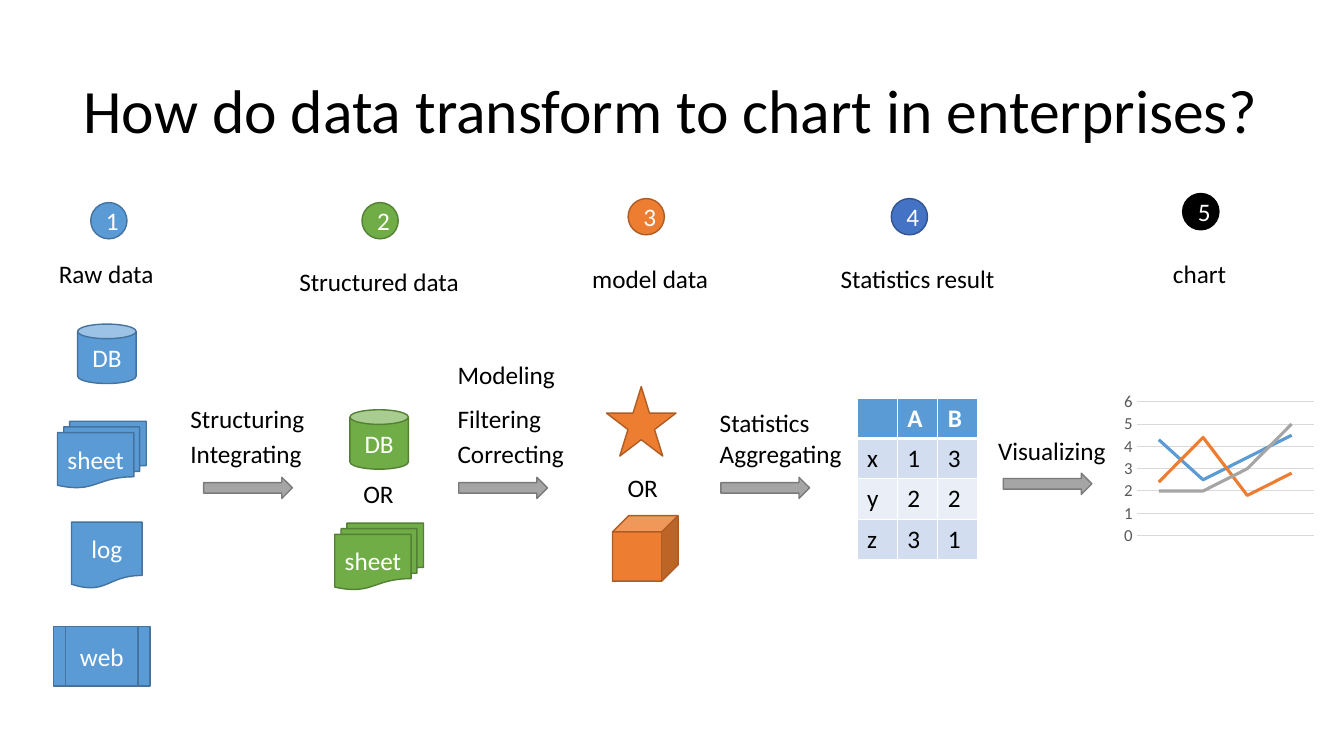
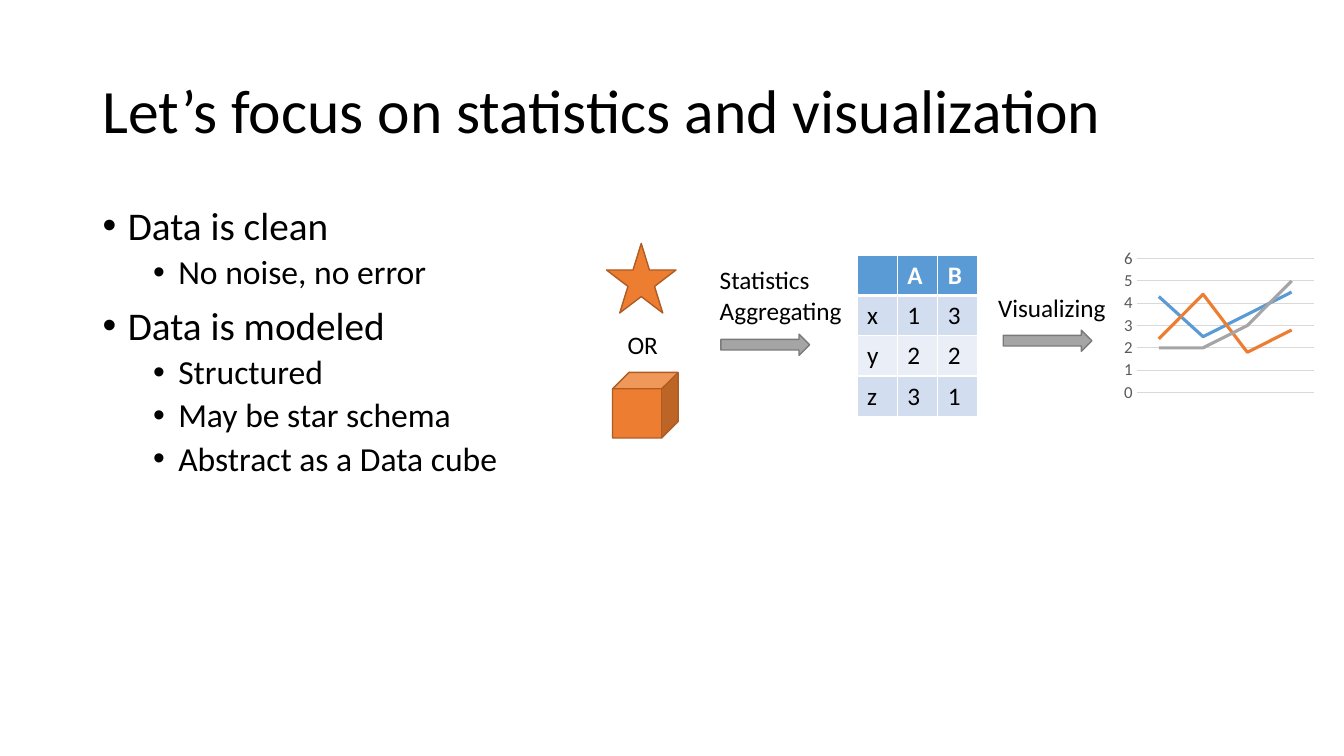
from lxml import etree
from pptx import Presentation
from pptx.chart.data import CategoryChartData
from pptx.dml.color import RGBColor
from pptx.enum import chart as charts, shapes, text
from pptx.oxml import ns
from pptx.util import Inches, Pt

# Content
FONT = "Calibri"
BLACK, WHITE = "000000", "FFFFFF"
PALETTE = {  # name: (fill, outline)
    "blue": ("5B9BD5", "43739E"), "green": ("70AD47", "538035"),
    "orange": ("ED7D31", "AF5C24"), "indigo": ("4472C4", "325491"),
    "gray": ("A5A5A5", "7A7A7A"), "black": (BLACK, BLACK),
}
KINDS = shapes.MSO_SHAPE
FORMS = {  # name: (preset, width, height)
    "badge": (KINDS.FLOWCHART_CONNECTOR, 0.36, 0.36),
    "database": (KINDS.CAN, 0.58, 0.59),
    "sheets": (KINDS.FLOWCHART_MULTIDOCUMENT, 0.88, 0.66),
    "log": (KINDS.FLOWCHART_DOCUMENT, 0.7, 0.66),
    "web": (KINDS.FLOWCHART_PREDEFINED_PROCESS, 0.96, 0.59),
    "arrow": (KINDS.RIGHT_ARROW, 0.88, 0.21),
    "star": (KINDS.STAR_5_POINT, 0.69, 0.69),
    "cube": (KINDS.CUBE, 0.65, 0.65),
}
STAGES = [  # badge centre x, y, colour; name, its centre x, y, width
    (1.08, 2.19, "blue", "Raw data", 1.06, 2.71, 1.15),
    (3.77, 2.19, "green", "Structured data", 3.77, 2.79, 1.8),
    (6.41, 2.15, "orange", "model data", 6.46, 2.76, 1.37),
    (9.02, 2.15, "indigo", "Statistics result", 9.11, 2.76, 1.74),
    (11.91, 2.1, "black", "chart", 11.9, 2.71, 0.73),
]
# Vertical places in the flow are distances from its centre line.
RAW_FIRST, RAW_PITCH = -1.33, 1.0
RAW_DATA = [("database", "DB", 1.06), ("sheets", "sheet", 1.01),
            ("log", "log", 1.06), ("web", "web", 1.01)]
STRUCTURED = [("database", "DB", 3.76, -0.48), ("sheets", "sheet", 3.76, 0.68)]
MODELS = [("star", "", 6.36, -0.66), ("cube", "", 6.4, 0.6)]
OR_WIDTH = 0.51
EARLY_STEPS = [  # arrow centre x, y; left of words; (word, y, width)
    (2.46, 0, 1.79, [("Structuring", -0.69, 1.34), ("Integrating", -0.34, 1.32)]),
    (4.99, 0, 4.44, [("Modeling", -1.12, 1.18), ("Filtering", -0.69, 1.04),
                     ("Correcting", -0.34, 1.27)]),
]
LATE_STEPS = [
    (7.59, 0, 7.04, [("Statistics", -0.65, 1.1), ("Aggregating", -0.34, 1.43)]),
    (10.39, -0.04, 9.8, [("Visualizing", -0.37, 1.28)]),
]
RESULT = [("", "A", "B"), ("x", "1", "3"), ("y", "2", "2"), ("z", "3", "1")]
HEADER_FILL, BAND_FILLS = "5B9BD5", ("EAEFF7", "D2DEEF")
CELL = 0.4
SERIES = [("Series 1", (4.3, 2.5, 3.5, 4.5), "blue"),
          ("Series 2", (2.4, 4.4, 1.8, 2.8), "orange"),
          ("Series 3", (2, 2, 3, 5), "gray")]
BULLETS = [(0, "Data is clean"), (1, "No noise, no error"), (0, "Data is modeled"),
           (1, "Structured"), (1, "May be star schema"), (1, "Abstract as a Data cube")]
BULLET_STYLES = [  # size, left margin, space before
    (28, 0.25, 10), (24, 0.75, 5)]


def color(value):
    """Turn a hex string into a colour."""
    return RGBColor.from_string(value)


def apply(target, **values):
    """Set each named attribute on the target."""
    for name, value in values.items():
        setattr(target, name, value)


def centered(x, y, width, height):
    """Give the box, in slide units, around a centre point."""
    return [Inches(v) for v in (x - width / 2, y - height / 2, width, height)]


def write(paragraph, words, size=18, ink=BLACK, bold=False):
    """Add one styled run to a paragraph."""
    run = paragraph.add_run()
    run.text = words
    apply(run.font, name=FONT, size=Pt(size), bold=bold)
    run.font.color.rgb = color(ink)


def add_title(slide, words, left, width):
    """Add the slide title."""
    box = slide.shapes.add_textbox(*map(Inches, (left, 0.4, width, 1.45)))
    apply(box.text_frame, word_wrap=True, vertical_anchor=text.MSO_ANCHOR.MIDDLE)
    paragraph = box.text_frame.paragraphs[0]
    paragraph.line_spacing = 0.9
    write(paragraph, words, 44)


def add_label(slide, words, x, y, width):
    """Add a one-line label centred on a point."""
    box = slide.shapes.add_textbox(*centered(x, y, width, 0.4))
    apply(box.text_frame, word_wrap=False, auto_size=text.MSO_AUTO_SIZE.SHAPE_TO_FIT_TEXT)
    write(box.text_frame.paragraphs[0], words)


def add_form(slide, form, words, x, y, tone):
    """Add a preset shape centred on a point."""
    preset, width, height = FORMS[form]
    fill, outline = PALETTE[tone]
    shape = slide.shapes.add_shape(preset, *centered(x, y, width, height))
    shape.shadow.inherit = False
    shape.fill.solid()
    shape.fill.fore_color.rgb = color(fill)
    shape.line.color.rgb = color(outline)
    shape.line.width = Pt(1)
    if words:
        paragraph = shape.text_frame.paragraphs[0]
        paragraph.alignment = text.PP_ALIGN.CENTER
        write(paragraph, words, ink=WHITE)


def add_steps(slide, steps, middle):
    """Add each arrow with the words above it."""
    for x, dy, left, words in steps:
        add_form(slide, "arrow", "", x, middle + dy, "gray")
        for word, word_dy, width in words:
            add_label(slide, word, left + width / 2, middle + word_dy, width)


def underline_cell(cell):
    """Give a header cell its thick white lower border."""
    border = etree.Element(ns.qn("a:lnB"), w=str(Pt(3)))
    fill = etree.SubElement(border, ns.qn("a:solidFill"))
    etree.SubElement(fill, ns.qn("a:srgbClr"), val=WHITE)
    cell._tc.get_or_add_tcPr().insert(0, border)


def add_result_table(slide, x, y):
    """Add the small banded table centred on a point."""
    rows, columns = len(RESULT), len(RESULT[0])
    frame = slide.shapes.add_table(
        rows, columns, *centered(x, y, columns * CELL, rows * CELL))
    for r, values in enumerate(RESULT):
        for c, value in enumerate(values):
            cell = frame.table.cell(r, c)
            cell.fill.solid()
            cell.fill.fore_color.rgb = color(BAND_FILLS[r % 2] if r else HEADER_FILL)
            if r == 0:
                underline_cell(cell)
            if value:
                write(cell.text_frame.paragraphs[0], value,
                      ink=BLACK if r else WHITE, bold=r == 0)


def add_line_chart(slide, x, y):
    """Add the line chart centred on a point."""
    data = CategoryChartData()
    data.categories = ["1", "2", "3", "4"]
    for name, values, _ in SERIES:
        data.add_series(name, values)
    chart = slide.shapes.add_chart(
        charts.XL_CHART_TYPE.LINE, *centered(x, y, 1.96, 1.59), data).chart
    apply(chart, has_legend=False, has_title=False)
    apply(chart.font, name=FONT, size=Pt(10))
    chart.font.color.rgb = color(BLACK)
    chart.plots[0].vary_by_categories = False
    chart.category_axis.visible = False
    axis = chart.value_axis
    apply(axis, minimum_scale=0, maximum_scale=6, major_unit=1,
          has_major_gridlines=True, major_tick_mark=charts.XL_TICK_MARK.NONE)
    axis.format.line.fill.background()
    apply(axis.tick_labels.font, name=FONT, size=Pt(12))
    axis.tick_labels.font.color.rgb = color("595959")
    grid = axis.major_gridlines.format.line
    grid.color.rgb = color("D9D9D9")
    grid.width = Pt(0.75)
    for series, (_, _, tone) in zip(chart.plots[0].series, SERIES):
        series.smooth = False
        series.marker.style = charts.XL_MARKER_STYLE.NONE
        series.format.line.color.rgb = color(PALETTE[tone][0])
        series.format.line.width = Pt(2.25)


def add_model_to_chart(slide, middle):
    """Add the part of the flow that both slides show."""
    for form, words, x, dy in MODELS:
        add_form(slide, form, words, x, middle + dy, "orange")
    add_label(slide, "OR", 6.38, middle, OR_WIDTH)
    add_steps(slide, LATE_STEPS, middle)
    add_result_table(slide, 9.1, middle - 0.09)
    add_line_chart(slide, 12.09, middle - 0.19)


def add_bullets(slide):
    """Add the two-level bullet list."""
    box = slide.shapes.add_textbox(*map(Inches, (0.92, 2, 11.5, 4.76)))
    frame = box.text_frame
    frame.word_wrap = True
    for i, (level, words) in enumerate(BULLETS):
        size, margin, before = BULLET_STYLES[level]
        paragraph = frame.add_paragraph() if i else frame.paragraphs[0]
        apply(paragraph, level=level, line_spacing=0.9, space_before=Pt(before))
        write(paragraph, words, size)
        properties = paragraph._p.get_or_add_pPr()
        properties.set("marL", str(Inches(margin)))
        properties.set("indent", str(Inches(-0.25)))
        etree.SubElement(properties, ns.qn("a:buFont")).set("typeface", "Arial")
        etree.SubElement(properties, ns.qn("a:buChar")).set("char", "•")


def build_overview(slide):
    """Build the slide with the whole flow."""
    middle = 4.84
    add_title(slide, "How do data transform to chart in enterprises?", 0.73, 12.03)
    for number, (x, y, tone, name, name_x, name_y, width) in enumerate(STAGES, 1):
        add_form(slide, "badge", str(number), x, y, tone)
        add_label(slide, name, name_x, name_y, width)
    for row, (form, words, x) in enumerate(RAW_DATA):
        add_form(slide, form, words, x, middle + RAW_FIRST + row * RAW_PITCH, "blue")
    for form, words, x, dy in STRUCTURED:
        add_form(slide, form, words, x, middle + dy, "green")
    add_label(slide, "OR", 3.76, middle + 0.06, OR_WIDTH)
    add_steps(slide, EARLY_STEPS, middle)
    add_model_to_chart(slide, middle)


def build_focus(slide):
    """Build the slide on the last steps of the flow."""
    add_title(slide, "Let’s focus on statistics and visualization", 0.92, 11.5)
    add_bullets(slide)
    add_model_to_chart(slide, 3.42)


presentation = Presentation()
apply(presentation, slide_width=Inches(13.33), slide_height=Inches(7.5))
for build in (build_overview, build_focus):
    build(presentation.slides.add_slide(presentation.slide_layouts[6]))
presentation.save("out.pptx")
